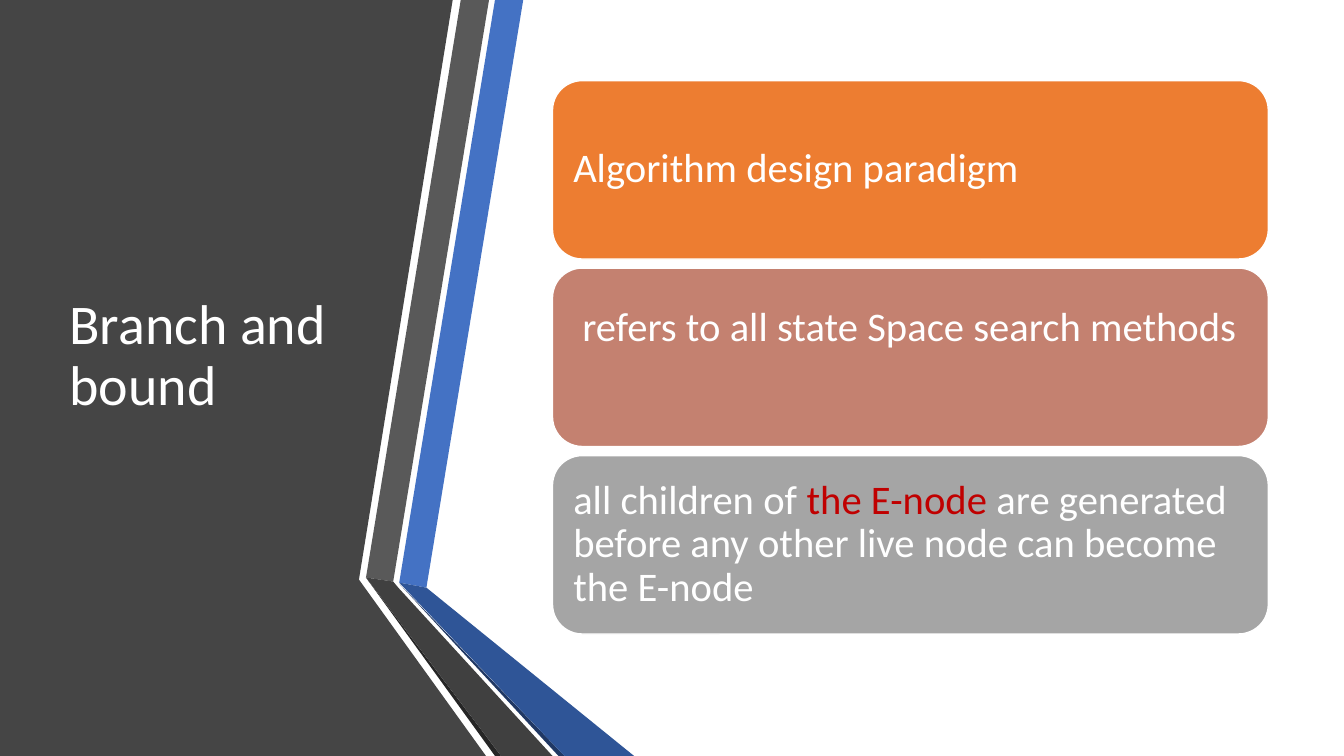
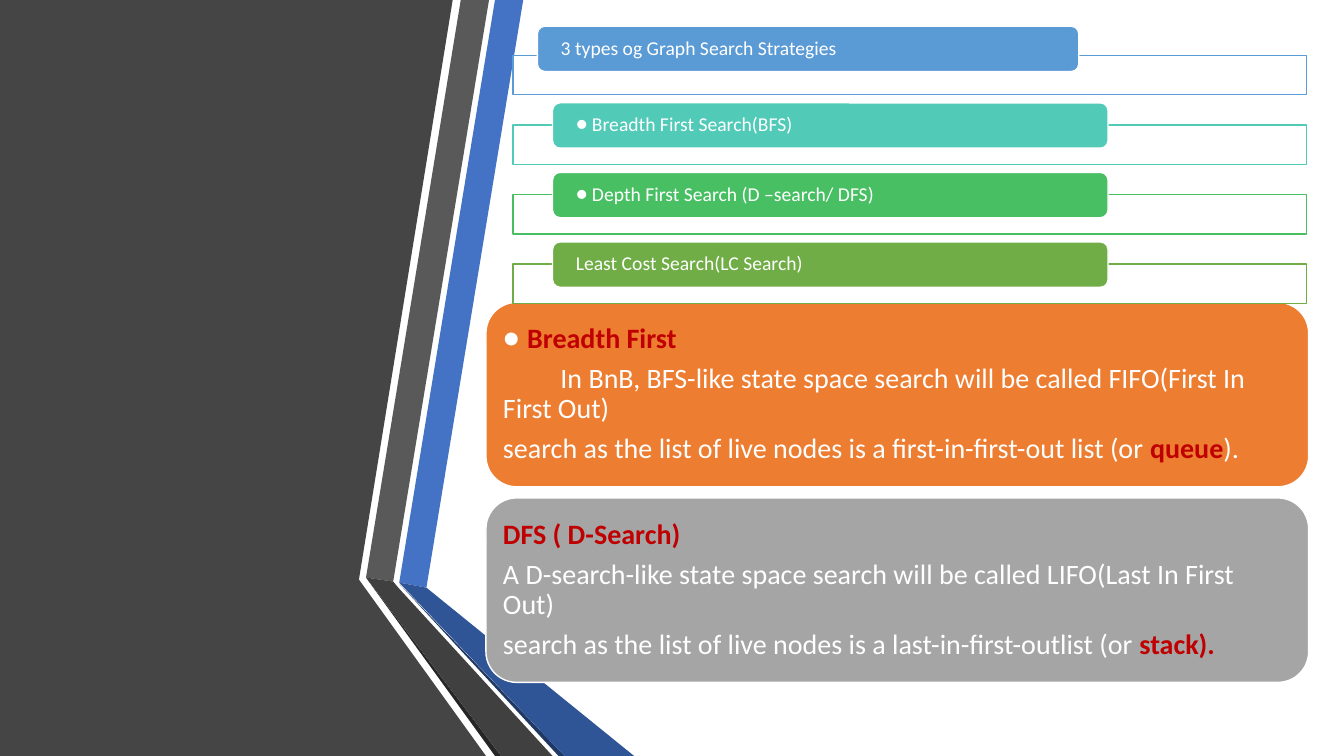
"""Build two slides on branch and bound beside a folded ribbon."""
from dataclasses import dataclass

from lxml.etree import SubElement as Sub
from pptx import Presentation
from pptx.dml.color import RGBColor as Rgb
from pptx.enum.shapes import MSO_SHAPE as Kind
from pptx.enum.text import MSO_ANCHOR as Anchor
from pptx.enum.text import MSO_AUTO_SIZE as Fit
from pptx.enum.text import PP_ALIGN as Align
from pptx.oxml.ns import qn
from pptx.util import Inches, Pt


@dataclass(frozen=True)
class Theme:
    """Hold the colours, font and type sizes of the deck."""

    font: str = "Calibri"
    white: str = "FFFFFF"
    red: str = "C00000"
    dark: str = "454545"
    blue: str = "4472C4"
    slate: str = "595959"
    black: str = "262626"
    navy: str = "203864"
    deep: str = "2F5597"
    coal: str = "404040"
    orange: str = "ED7D31"
    clay: str = "C48170"
    grey: str = "A5A5A5"
    sky: str = "5B9BD5"
    teal: str = "52CAB8"
    green: str = "49BF64"
    leaf: str = "70AD47"
    title: int = 40
    large: int = 29
    body: int = 20
    small: int = 14
    lead: float = 0.9
    after: float = 0.35


THEME = Theme()

RIBBON = (
    (THEME.dark, [(0, 0), (4.49, 0), (3.56, 5.75), (4.82, 7.5), (0, 7.5)]),
    (THEME.blue, [(3.96, 5.78), (4.23, 5.83), (5.19, 0), (4.91, 0)]),
    (THEME.slate, [(4.85, 0), (4.57, 0), (3.63, 5.73), (3.9, 5.77)]),
    (THEME.black, [(3.63, 5.73), (4.91, 7.5), (4.97, 7.5)]),
    (THEME.navy, [(3.96, 5.79), (5.54, 7.5), (5.6, 7.5)]),
    (THEME.deep, [(3.96, 5.78), (5.6, 7.5), (6.29, 7.5), (4.23, 5.83)]),
    (THEME.coal, [(5.48, 7.5), (3.95, 5.83), (3.9, 5.77), (3.63, 5.73), (4.97, 7.5)]),
)


@dataclass(frozen=True)
class Para:
    """Hold the runs of a paragraph and its indents in inches."""

    runs: tuple
    first: float = 0
    hang: float = 0


def plain(text):
    """Return a white run."""
    return text, THEME.white, False


def red(text, bold=True):
    """Return a red run."""
    return text, THEME.red, bold


def paint(shape, fill, line=None):
    """Set fill and line of a shape and drop its shadow."""
    shape.shadow.inherit = False
    shape.fill.solid()
    shape.fill.fore_color.rgb = Rgb.from_string(fill)
    if line:
        shape.line.color.rgb = Rgb.from_string(line)
        shape.line.width = Pt(1)
    else:
        shape.line.fill.background()


def add_box(slide, kind, box, fill, line):
    """Add a painted preset shape."""
    shape = slide.shapes.add_shape(kind, *map(Inches, box))
    paint(shape, fill, line)
    return shape


def add_band(slide, fill, points):
    """Add a filled polygon."""
    start, *rest = [(Inches(x), Inches(y)) for x, y in points]
    pen = slide.shapes.build_freeform(*start, scale=1.0)
    pen.add_line_segments(rest, close=True)
    paint(pen.convert_to_shape(), fill)


def indent(par, para):
    """Indent the first line, or hang the text on a round bullet."""
    props = par._p.get_or_add_pPr()
    if para.hang:
        props.set("marL", str(Inches(para.hang)))
        props.set("indent", str(-Inches(para.hang)))
        tint = Sub(props, qn("a:buClr"))
        Sub(tint, qn("a:srgbClr"), val=THEME.white)
        Sub(props, qn("a:buFont"), typeface=THEME.font)
        Sub(props, qn("a:buChar"), char="●")
    elif para.first:
        props.set("indent", str(Inches(para.first)))


def style(run, size, tint, bold=False):
    """Format one run."""
    run.font.name = THEME.font
    run.font.size = Pt(size)
    run.font.bold = bold
    run.font.color.rgb = Rgb.from_string(tint)


def write(shape, paras, size, pads):
    """Fill a shape with left-aligned, vertically centred text."""
    frame = shape.text_frame
    frame.word_wrap = True
    frame.vertical_anchor = Anchor.MIDDLE
    (frame.margin_left, frame.margin_top,
     frame.margin_right, frame.margin_bottom) = map(Inches, pads)
    for i, para in enumerate(paras):
        par = frame.add_paragraph() if i else frame.paragraphs[0]
        indent(par, para)
        par.alignment = Align.LEFT
        par.line_spacing = THEME.lead
        par.space_after = Pt(round(size * THEME.after))
        for text, tint, bold in para.runs:
            run = par.add_run()
            run.text = text
            style(run, size, tint, bold)


def add_card(slide, box, fill, paras, size, pads):
    """Add a rounded card with text."""
    card = add_box(slide, Kind.ROUNDED_RECTANGLE, box, fill, THEME.white)
    write(card, paras, size, pads)


def add_frame(slide, top, tint):
    """Add the outlined, nearly opaque strip behind a tab."""
    strip = add_box(slide, Kind.RECTANGLE, (5.09, top, 7.87, 0.39), THEME.white, tint)
    tone = strip._element.spPr.find(qn("a:solidFill"))[0]
    Sub(tone, qn("a:alpha"), val="90000")


def add_title(slide, text):
    """Place the title on top of the dark band."""
    title = slide.shapes.title
    title.left, title.top, title.width, title.height = map(Inches, (0.59, 0.75, 3.04, 5.58))
    frame = title.text_frame
    frame.text = text
    frame.word_wrap = True
    frame.auto_size = Fit.NONE
    frame.vertical_anchor = Anchor.MIDDLE
    par = frame.paragraphs[0]
    par.alignment = Align.LEFT
    par.line_spacing = THEME.lead
    style(par.runs[0], THEME.title, THEME.white)
    slide.shapes.element.append(title._element)


def add_page(deck, layout):
    """Add a slide with the shared ribbon."""
    slide = deck.slides.add_slide(deck.slide_layouts[layout])
    for fill, points in RIBBON:
        add_band(slide, fill, points)
    return slide


def build_intro(deck):
    """Build the slide that defines branch and bound."""
    slide = add_page(deck, 5)
    add_title(slide, "Branch and bound")
    cards = (
        (THEME.orange, Para((plain("Algorithm design paradigm"),)), 0.12),
        (THEME.clay, Para((plain("refers to all state Space search methods"),), first=0.09), 0.7),
        (THEME.grey, Para((
            plain("all children of "),
            red("the E-node ", False),
            plain("are generated before any other live node can become the E-node"),
        )), 0.12),
    )
    for i, (fill, para, base) in enumerate(cards):
        box = (5.48, 0.8 + 1.86 * i, 7.1, 1.77)
        add_card(slide, box, fill, [para], THEME.large, (0.12, 0.12, 0.12, base))


def build_search(deck):
    """Build the slide on graph search strategies."""
    slide = add_page(deck, 6)
    cards = (
        (THEME.orange, (
            Para((red("Breadth First"),), hang=0.24),
            Para((plain("In BnB, BFS-like state space search will be called "
                        "FIFO(First In First Out)"),), first=0.57),
            Para((plain("search as the list of live nodes is a first-in-first-out list (or "),
                  red("queue"), plain(")."))),
        )),
        (THEME.grey, (
            Para((red("DFS ( D-Search)"),)),
            Para((plain("A D-search-like state space search will be called "
                        "LIFO(Last In First Out)"),)),
            Para((plain("search as the list of live nodes is a last-in-first-outlist (or "),
                  red("stack)."))),
        )),
    )
    for i, (fill, paras) in enumerate(cards):
        box = (4.82, 3 + 1.94 * i, 8.16, 1.83)
        add_card(slide, box, fill, paras, THEME.body, (0.08,) * 4)

    head, item = (5.33, 0.29, 5.37), (5.48, 0.22, 5.51)
    tabs = (
        ("3 types og Graph Search Strategies", THEME.sky, head, 0),
        ("Breadth First Search(BFS)", THEME.teal, item, 0.16),
        ("Depth First Search (D –search/ DFS)", THEME.green, item, 0.16),
        ("Least Cost Search(LC Search)", THEME.leaf, item, 0),
    )
    for i, (text, fill, (left, rise, width), hang) in enumerate(tabs):
        top = 0.55 + 0.69 * i
        add_frame(slide, top, fill)
        para = Para((plain(text),), hang=hang)
        add_card(slide, (left, top - rise, width, 0.45), fill, [para],
                 THEME.small, (0.21, 0, 0.21, 0))


def main():
    """Build and save the deck."""
    deck = Presentation()
    deck.slide_width, deck.slide_height = Inches(13.33), Inches(7.5)
    build_intro(deck)
    build_search(deck)
    deck.save("out.pptx")


if __name__ == "__main__":
    main()
